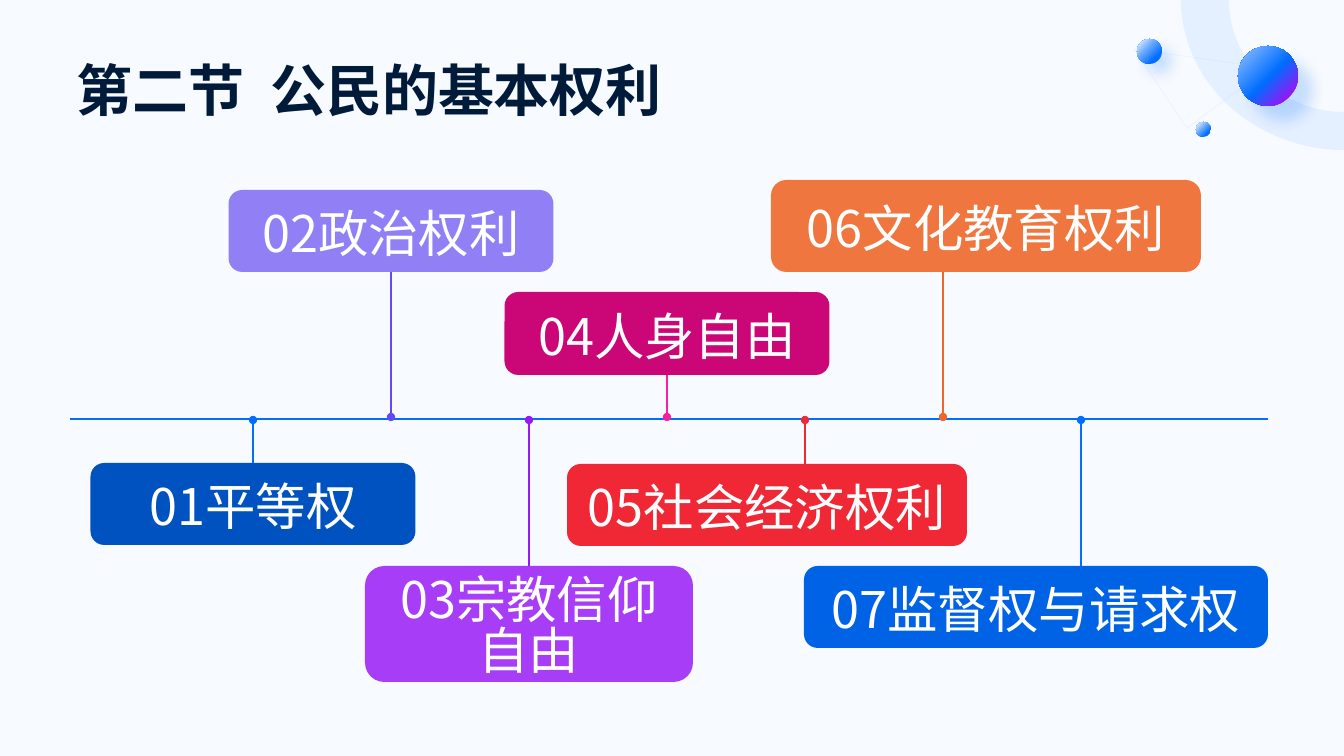
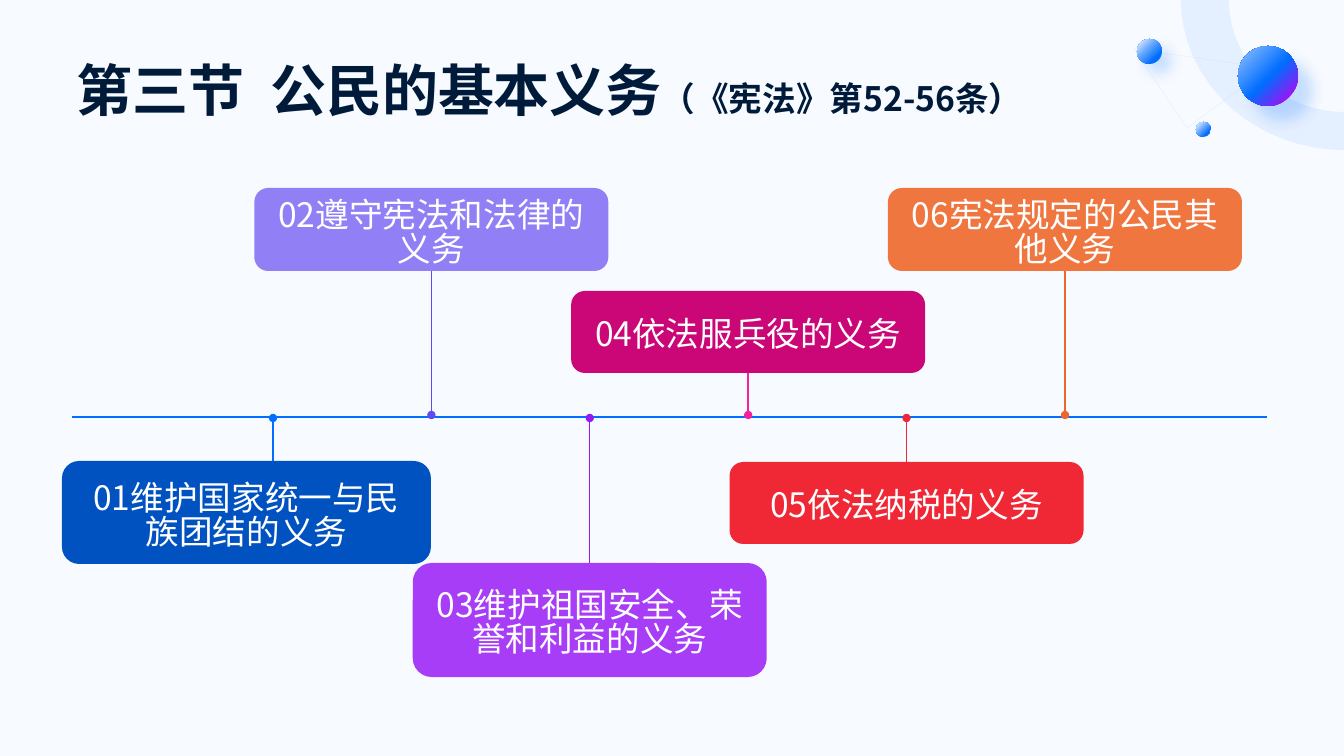
from lxml import etree
from pptx import Presentation
from pptx.dml.color import RGBColor
from pptx.enum.shapes import MSO_CONNECTOR, MSO_SHAPE
from pptx.enum.text import MSO_ANCHOR, PP_ALIGN
from pptx.oxml import parse_xml
from pptx.oxml.ns import nsdecls, qn
from pptx.util import Pt

PX = 914400 / 100.8
SLIDE_WIDTH, SLIDE_HEIGHT = 1344, 756
FONT = "Noto Sans CJK SC"
OVAL, ROUNDED, RECTANGLE = MSO_SHAPE.OVAL, MSO_SHAPE.ROUNDED_RECTANGLE, MSO_SHAPE.RECTANGLE
STRAIGHT = MSO_CONNECTOR.STRAIGHT
MIDDLE, BOTTOM = MSO_ANCHOR.MIDDLE, MSO_ANCHOR.BOTTOM
LEFT, CENTER = PP_ALIGN.LEFT, PP_ALIGN.CENTER
TOP_SIDE, BOTTOM_SIDE = 0, 2

WHITE = RGBColor(0xFF, 0xFF, 0xFF)
NAVY = RGBColor(0x00, 0x1A, 0x3A)
BACKGROUND = RGBColor(0xF7, 0xFA, 0xFF)
BLUE = RGBColor(0x01, 0x6E, 0xFF)
MID_BLUE = RGBColor(0x67, 0xA8, 0xFF)
SKY = RGBColor(0x99, 0xC5, 0xFF)
PALE = RGBColor(0xCC, 0xE2, 0xFF)
VIOLET = RGBColor(0x96, 0x18, 0xF4)
RED = RGBColor(0xF0, 0x28, 0x36)

# Box and stem colours, in the order of the numbers
BOX_COLORS = [
    RGBColor(0x00, 0x52, 0xC0), RGBColor(0x91, 0x80, 0xF5), RGBColor(0xA7, 0x3D, 0xF6),
    RGBColor(0xCB, 0x07, 0x77), RED, RGBColor(0xF0, 0x76, 0x3F), RGBColor(0x00, 0x63, 0xE6),
]
STEM_COLORS = [
    BLUE, RGBColor(0x62, 0x4A, 0xF0), VIOLET,
    RGBColor(0xF7, 0x21, 0x9B), RED, RGBColor(0xEE, 0x67, 0x2A), BLUE,
]

# Corner balls: left, top, size, gradient stops, shadow distance in points
BALLS = [
    (1238, 46, 60, [(0, SKY), (52, BLUE), (85, VIOLET)], 15),
    (1137, 39, 25, [(12, PALE), (40, MID_BLUE), (75, BLUE)], 10),
    (1196, 122, 15, [(13, PALE), (75, BLUE)], 0),
]

# Corner ring: two curves, each a start, two handles and an end
RING_CURVES = [
    [(1229, 5), (1232, 62), (1279, 109), (1339, 112)],
    [(1337, 150), (1253, 146), (1186, 85), (1181, 7)],
]
CURVE_STEPS = 24
ring_points = [(1181, 0), (1229, 0)]
for curve in RING_CURVES:
    for step in range(CURVE_STEPS + 1):
        t = step / CURVE_STEPS
        weights = [(1 - t) ** 3, 3 * t * (1 - t) ** 2, 3 * t * t * (1 - t), t ** 3]
        ring_points.append(tuple(
            sum(weight * point[axis] for weight, point in zip(weights, curve))
            for axis in (0, 1)))
    if curve is RING_CURVES[0]:
        ring_points += [(1344, 112), (1344, 150)]
TRIANGLE_POINTS = [(1134, 49), (1268, 68), (1187, 128)]

# Boxes: left (None centres the box on its stem), top, width, height, text, wraps
SLIDES = [
    {
        "title": [("第二节  公民的基本权利", 40)],
        "axis": (70, 1268, 419), "stems": (253, 1081), "size": 36,
        "boxes": [
            (None, 463, 325, 82, "01平等权", False),
            (None, 190, 325, 82, "02政治权利", False),
            (None, 566, 328, 116, "03宗教信仰自由", True),
            (None, 292, 325, 83, "04人身自由", False),
            (567, 464, 400, 82, "05社会经济权利", False),
            (771, 180, 430, 92, "06文化教育权利", False),
            (804, 566, 464, 82, "07监督权与请求权", False),
        ],
    },
    {
        "title": [("第三节  公民的基本义务", 40), ("（《宪法》第52-56条）", 24)],
        "axis": (72, 1267, 417), "stems": (273, 1065), "size": 24,
        "boxes": [
            (62, 461, 369, 103, "01维护国家统一与民族团结的义务", True),
            (None, 188, 354, 83, "02遵守宪法和法律的义务", True),
            (None, 563, 354, 114, "03维护祖国安全、荣誉和利益的义务", True),
            (None, 291, 354, 82, "04依法服兵役的义务", False),
            (None, 462, 354, 82, "05依法纳税的义务", False),
            (None, 188, 354, 83, "06宪法规定的公民其他义务", True),
        ],
    },
]


def px(*lengths):
    return [round(length * PX) for length in lengths]


def write_text(shape, runs, color, bold=False, align=LEFT, anchor=MIDDLE,
               margins=(0, 0, 0, 0), line_spacing=1.0):
    frame = shape.text_frame
    frame.word_wrap = True
    frame.vertical_anchor = anchor
    (frame.margin_left, frame.margin_top,
     frame.margin_right, frame.margin_bottom) = px(*margins)
    paragraph = frame.paragraphs[0]
    paragraph.alignment = align
    paragraph.line_spacing = line_spacing
    for text, size in runs:
        run = paragraph.add_run()
        run.text = text
        run.font.size = Pt(size)
        run.font.bold = bold
        run.font.color.rgb = color
        run.font.name = FONT
        etree.SubElement(run.font._element, qn("a:ea"), typeface=FONT)


presentation = Presentation()
presentation.slide_width, presentation.slide_height = px(SLIDE_WIDTH, SLIDE_HEIGHT)

for content in SLIDES:
    slide = presentation.slides.add_slide(presentation.slide_layouts[6])
    shapes = slide.shapes
    slide.background.fill.solid()
    slide.background.fill.fore_color.rgb = BACKGROUND

    # Corner triangle and ring
    for points, color, opacity in ((TRIANGLE_POINTS, PALE, 50), (ring_points, SKY, 20)):
        corners = [px(*point) for point in points]
        builder = shapes.build_freeform(*corners[0], scale=1.0)
        builder.add_line_segments(corners[1:], close=True)
        outline = builder.convert_to_shape()
        outline.shadow.inherit = False
        if points is TRIANGLE_POINTS:
            outline.fill.background()
            outline.line.color.rgb = color
            outline.line.width = Pt(0.25)
        else:
            outline.fill.solid()
            outline.fill.fore_color.rgb = color
            outline.line.fill.background()
        for color_element in outline._element.spPr.iter(qn("a:srgbClr")):
            etree.SubElement(color_element, qn("a:alpha"), val=str(opacity * 1000))

    # Corner balls
    for left, top, size, stops, distance in BALLS:
        ball = shapes.add_shape(OVAL, *px(left, top, size, size))
        ball.line.fill.background()
        ball.shadow.inherit = False
        ball.fill.solid()
        properties = ball._element.spPr
        stop_xml = "".join(
            f'<a:gs pos="{position * 1000}"><a:srgbClr val="{color}"/></a:gs>'
            for position, color in stops)
        properties.replace(properties.find(qn("a:solidFill")), parse_xml(
            f'<a:gradFill {nsdecls("a")} rotWithShape="1"><a:gsLst>{stop_xml}</a:gsLst>'
            '<a:path path="circle"><a:fillToRect r="100000" b="100000"/></a:path>'
            '</a:gradFill>'))
        if distance:
            properties.find(qn("a:effectLst")).append(parse_xml(
                f'<a:outerShdw {nsdecls("a")} blurRad="{Pt(10)}" dist="{Pt(distance)}" '
                f'dir="2700000" algn="tl" rotWithShape="0"><a:srgbClr val="{BLUE}">'
                '<a:alpha val="20000"/></a:srgbClr></a:outerShdw>'))

    # Title
    title = shapes.add_textbox(*px(77, 39, 1190, 84))
    write_text(title, content["title"], NAVY, bold=True, anchor=BOTTOM)

    # Timeline axis
    axis_left, axis_right, axis_y = content["axis"]
    axis_line = shapes.add_connector(STRAIGHT, *px(axis_left, axis_y, axis_right, axis_y))
    axis_line.line.color.rgb = BLUE
    axis_line.line.width = Pt(1.5)
    etree.SubElement(axis_line._element.spPr, qn("a:effectLst"))

    # Numbered boxes with stems, odd numbers below the axis and even ones above
    first_stem, last_stem = content["stems"]
    stem_gap = (last_stem - first_stem) / (len(content["boxes"]) - 1)
    for index, (left, top, width, height, text, wraps) in enumerate(content["boxes"]):
        stem_x = first_stem + index * stem_gap
        below = index % 2 == 0
        centred = left is None
        if centred:
            left = stem_x - width / 2
        box = shapes.add_shape(ROUNDED, *px(left, top, width, height))
        box.shadow.inherit = False
        box.fill.solid()
        box.fill.fore_color.rgb = BOX_COLORS[index]
        box.line.fill.background()
        write_text(box, [(text, content["size"])], WHITE, align=CENTER,
                   margins=(10, 14 if wraps else 8, 10, 5),
                   line_spacing=0.84 if wraps else 1.0)

        stem_start = top if below else top + height
        stem_end = axis_y + 1 if below else axis_y - 2
        stem = shapes.add_connector(STRAIGHT, *px(stem_x, stem_start, stem_x, stem_end))
        if centred:
            stem.begin_connect(box, TOP_SIDE if below else BOTTOM_SIDE)
        stem.line.color.rgb = STEM_COLORS[index]
        stem.line.width = Pt(1)
        etree.SubElement(stem.line._get_or_add_ln(), qn("a:tailEnd"), type="oval")
        etree.SubElement(stem._element.spPr, qn("a:effectLst"))

presentation.save("out.pptx")
